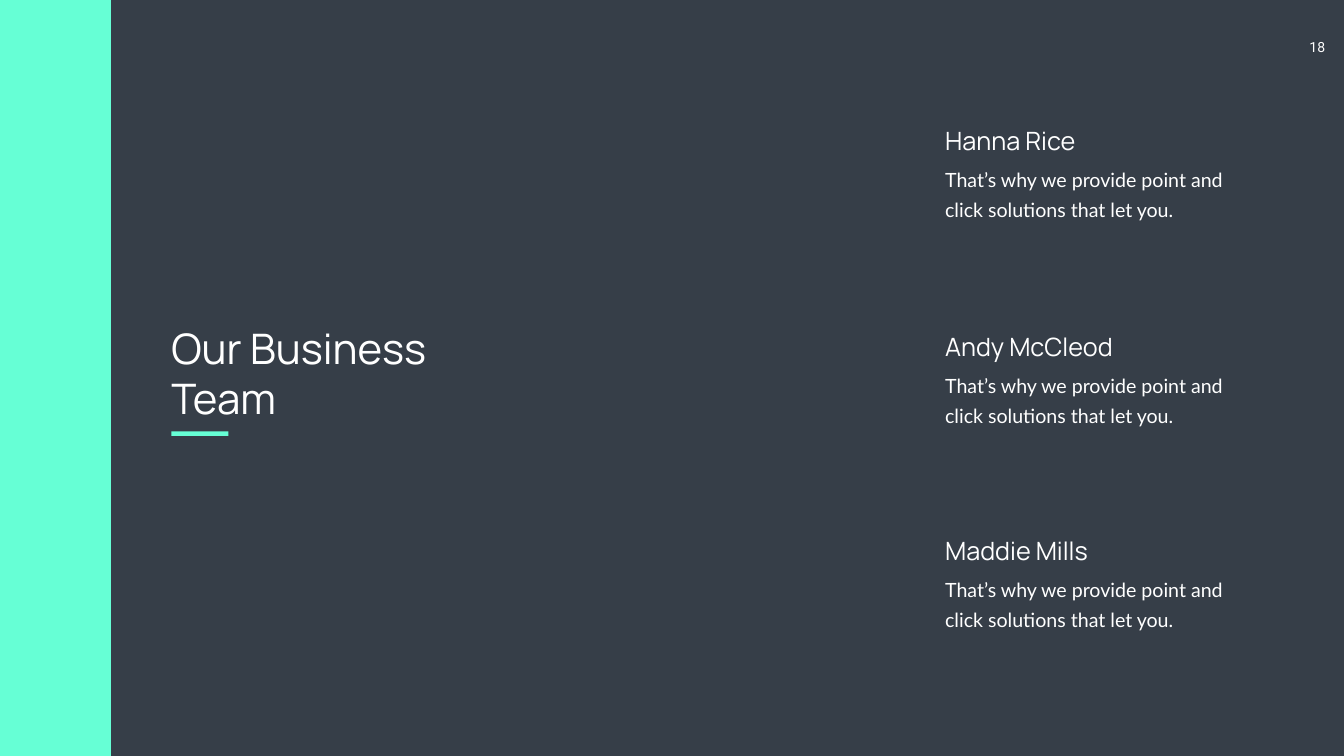
from pptx import Presentation
from pptx.dml.color import RGBColor
from pptx.enum import shapes, text
from pptx.util import Pt

WHITE, MINT, SLATE = "FFFFFF", "66FFD5", "363E48"
WIDTH, HEIGHT = 1919.52, 1080


def paint(fill, colour):
    fill.solid()
    fill.fore_color.rgb = RGBColor.from_string(colour)


class Deck:
    """Holds the style and the current slide."""

    heading_font, body_font, number_font = "Manrope", "Lato", "Roboto"

    def __init__(self):
        self.prs = Presentation()
        self.prs.slide_width, self.prs.slide_height = Pt(WIDTH), Pt(HEIGHT)
        self.slide = self.prs.slides.add_slide(self.prs.slide_layouts[6])
        paint(self.slide.background.fill, SLATE)

    def block(self, left, top, width, height, colour=MINT):
        block = self.slide.shapes.add_shape(
            shapes.MSO_SHAPE.RECTANGLE, Pt(left), Pt(top), Pt(width), Pt(height))
        block.shadow.inherit = False
        paint(block.fill, colour)
        block.line.fill.background()

    def label(self, words, left, top, width, height, font, size,
              leading=None, align=text.PP_ALIGN.LEFT):
        box = self.slide.shapes.add_textbox(Pt(left), Pt(top), Pt(width), Pt(height))
        frame = box.text_frame
        frame.word_wrap = True
        paragraph = frame.paragraphs[0]
        paragraph.text = words
        paragraph.alignment = align
        if leading:
            paragraph.line_spacing = Pt(leading)
        paragraph.font.name, paragraph.font.size = font, Pt(size)
        paint(paragraph.font.fill, WHITE)
        return frame

    def member(self, name, bio, left, top):
        self.label(name, left, top, 290, 51, self.heading_font, 36)
        self.label(bio, left, top + 52, 418, 89, self.body_font, 28, leading=43)


def main():
    deck = Deck()

    # Page number
    number = deck.label("18", 1845, 48.2, 72.7, 39, deck.number_font, 20,
                        align=text.PP_ALIGN.CENTER)
    number.margin_top = number.margin_bottom = Pt(7.2)

    # Title with its underline
    deck.label("Our Business Team", 237.6, 457.2, 437, 152.6, deck.heading_font, 60)
    deck.block(244.8, 616.3, 81.4, 6.5)

    # Side band
    deck.block(0, 0, 158.4, HEIGHT)

    # Team members
    bio = "That’s why we provide point and click solutions that let you."
    team = {"Hanna Rice": 175, "Andy McCleod": 469.4, "Maddie Mills": 760.6}
    for name, top in team.items():
        deck.member(name, bio, 1342.8, top)

    deck.prs.save("out.pptx")


if __name__ == "__main__":
    main()
